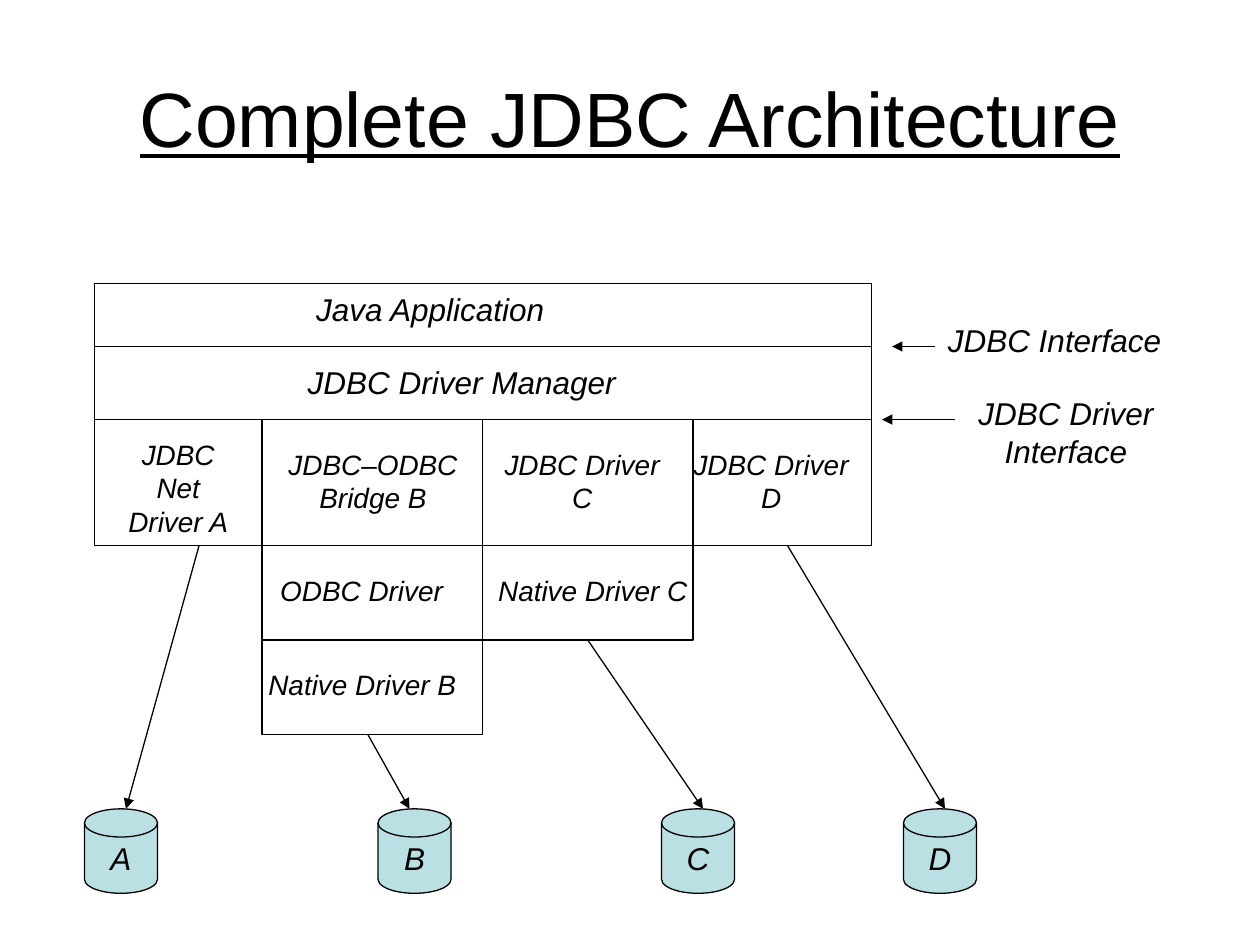
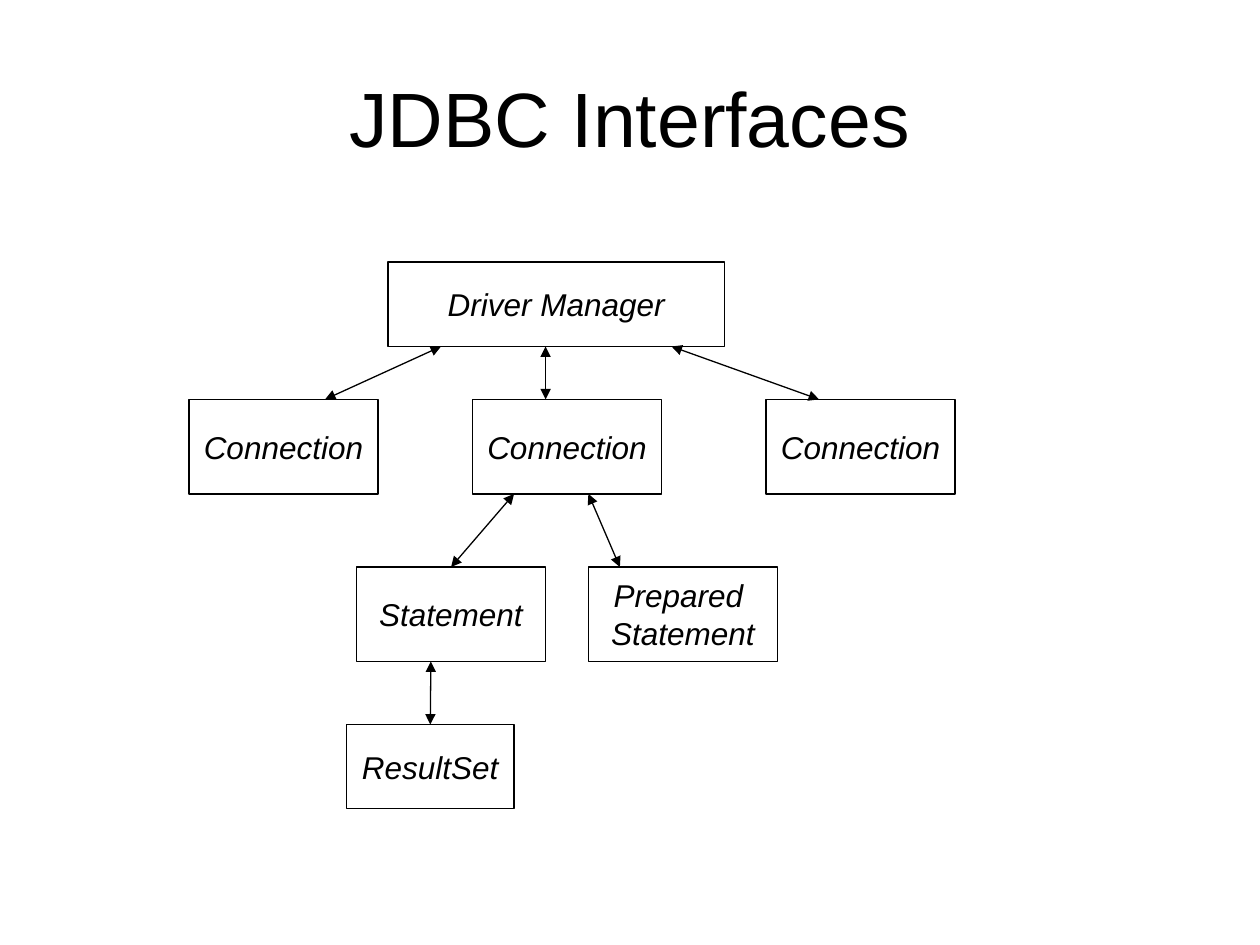
from lxml import etree
from pptx import Presentation
from pptx.dml.color import RGBColor
from pptx.enum.shapes import MSO_CONNECTOR, MSO_SHAPE
from pptx.enum.text import MSO_ANCHOR, PP_ALIGN
from pptx.oxml.ns import qn
from pptx.util import Inches, Pt

RECT = MSO_SHAPE.RECTANGLE
DISK = MSO_SHAPE.FLOWCHART_MAGNETIC_DISK
STRAIGHT = MSO_CONNECTOR.STRAIGHT
TOP, MIDDLE = MSO_ANCHOR.TOP, MSO_ANCHOR.MIDDLE
CENTER = PP_ALIGN.CENTER

BLACK = RGBColor(0x00, 0x00, 0x00)
DISK_BLUE = RGBColor(0xBB, 0xE0, 0xE3)
FONT = "Arial"
LINE_WIDTH = Pt(0.75)
TITLE_AT = (0.5, 0.3, 9, 1.25)
TOP_SIDE, BOTTOM_SIDE = 0, 2


def write(slide, text, at, outline=None, fill=None, size=18, italic=True,
          underline=None, anchor=MIDDLE, wrap=False):
    """Put centred text in a plain box, or in a preset shape if outline is given."""
    place = [Inches(length) for length in at]
    if outline is None:
        shape = slide.shapes.add_textbox(*place)
    else:
        shape = slide.shapes.add_shape(outline, *place)
        shape.shadow.inherit = False
        shape.line.color.rgb = BLACK
        shape.line.width = LINE_WIDTH
        if fill is None:
            shape.fill.background()
        else:
            shape.fill.solid()
            shape.fill.fore_color.rgb = fill
    frame = shape.text_frame
    frame.text = text
    frame.word_wrap = wrap
    frame.vertical_anchor = anchor
    for paragraph in frame.paragraphs:
        paragraph.alignment = CENTER
        for run in paragraph.runs:
            font = run.font
            font.name, font.size = FONT, Pt(size)
            font.italic, font.underline = italic, underline
            font.color.rgb = BLACK
    return shape


def link(slide, start, end, arrows=(), begin_box=None, end_box=None):
    """Draw a straight line; a box is joined at its bottom (begin) or top (end)."""
    line = slide.shapes.add_connector(STRAIGHT, *[Inches(n) for n in (*start, *end)])
    line.line.color.rgb = BLACK
    line.line.width = LINE_WIDTH
    for arrow in arrows:
        etree.SubElement(line.line._get_or_add_ln(), qn(f"a:{arrow}"), type="triangle")
    etree.SubElement(line._element.spPr, qn("a:effectLst"))
    if begin_box is not None:
        line.begin_connect(begin_box, BOTTOM_SIDE)
    if end_box is not None:
        line.end_connect(end_box, TOP_SIDE)


ONE_WAY = ("tailEnd",)
BOTH_WAYS = ("headEnd", "tailEnd")

deck = Presentation()
deck.slide_width, deck.slide_height = Inches(10), Inches(7.5)
blank = deck.slide_layouts[6]

# Slide 1: layered architecture
architecture = deck.slides.add_slide(blank)
write(architecture, "Complete JDBC Architecture", TITLE_AT, size=44,
      italic=False, underline=True, wrap=True)

# Main block: two full-width layers above four drivers
left, right = 0.75, 6.92
manager_top, drivers_top, drivers_bottom = 2.75, 3.33, 4.33
write(architecture, "", (left, 2.25, right - left, drivers_bottom - 2.25), RECT)
for y in (manager_top, drivers_top):
    link(architecture, (left, y), (right, y))
bridge_left, driver_c_left, driver_d_left = 2.08, 3.83, 5.5
for x in (bridge_left, driver_c_left, driver_d_left):
    link(architecture, (x, drivers_top), (x, drivers_bottom))

# Lower driver layers
layer_height = 0.75
lower_layers = [
    (bridge_left, driver_c_left, 0),
    (bridge_left, driver_c_left, 1),
    (driver_c_left, driver_d_left, 0),
]
for x, x_end, level in lower_layers:
    native_c = write(architecture, "",
                     (x, drivers_bottom + level * layer_height, x_end - x, layer_height),
                     RECT)

# Layer and interface labels
for label, at in [
    ("Java Application", (1.25, 2.25, 4.33, 0.4)),
    ("JDBC Driver Manager", (1.5, 2.83, 4.33, 0.4)),
    ("JDBC Interface", (7.33, 2.5, 2.08, 0.4)),
    ("JDBC Driver Interface", (7.42, 3.08, 2.08, 0.7)),
]:
    write(architecture, label, at, anchor=TOP, wrap=True)

# Driver labels
for label, at in [
    ("JDBC Net Driver A", (0.83, 3.42, 1.17, 0.9)),
    ("JDBC–ODBC Bridge B", (2.17, 3.5, 1.58, 0.64)),
    ("JDBC Driver C", (3.83, 3.5, 1.58, 0.64)),
    ("JDBC Driver D", (5.33, 3.5, 1.58, 0.64)),
    ("ODBC Driver", (2.08, 4.5, 1.58, 0.37)),
    ("Native Driver B", (2, 5.25, 1.75, 0.37)),
    ("Native Driver C", (3.83, 4.5, 1.75, 0.37)),
]:
    write(architecture, label, at, size=16, anchor=TOP, wrap=True)

# Arrows pointing at the two interfaces
link(architecture, (7.42, manager_top), (7.08, manager_top), ONE_WAY)
link(architecture, (7.58, drivers_top), (7, drivers_top), ONE_WAY)

# Databases, each reached from its driver
disk_top = 6.42
for database, disk_left, driver_exit, arrow_x, driver_box in [
    ("A", 0.67, (1.58, drivers_bottom), 1, None),
    ("B", 3, (2.92, 5.83), 3.25, None),
    ("C", 5.25, (4.67, 5.08), 5.58, native_c),
    ("D", 7.17, (6.25, drivers_bottom), 7.5, None),
]:
    link(architecture, driver_exit, (arrow_x, disk_top), ONE_WAY, begin_box=driver_box)
    write(architecture, database, (disk_left, disk_top, 0.58, 0.67), DISK, DISK_BLUE)

# Slide 2: interface hierarchy
interfaces = deck.slides.add_slide(blank)
write(interfaces, "JDBC Interfaces", TITLE_AT, size=44, italic=False, wrap=True)

# Interface boxes
write(interfaces, "Driver Manager", (3.08, 2.08, 2.67, 0.67), RECT)
for x in (1.5, 3.75, 6.08):
    write(interfaces, "Connection", (x, 3.17, 1.5, 0.75), RECT)
statement = write(interfaces, "Statement", (2.83, 4.5, 1.5, 0.75), RECT)
write(interfaces, "Prepared \nStatement", (4.67, 4.5, 1.5, 0.75), RECT)
result_set = write(interfaces, "ResultSet", (2.75, 5.75, 1.33, 0.67), RECT)

# Two-way links from each interface down to the next
for upper, lower, lower_box in [
    ((3.5, 2.75), (2.58, 3.17), None),
    ((4.33, 2.75), (4.33, 3.17), None),
    ((5.33, 2.75), (6.5, 3.17), None),
    ((4.08, 3.92), (3.58, 4.5), statement),
    ((4.67, 3.92), (4.92, 4.5), None),
    ((3.42, 5.25), (3.42, 5.75), result_set),
]:
    link(interfaces, upper, lower, BOTH_WAYS, end_box=lower_box)

deck.save("out.pptx")
